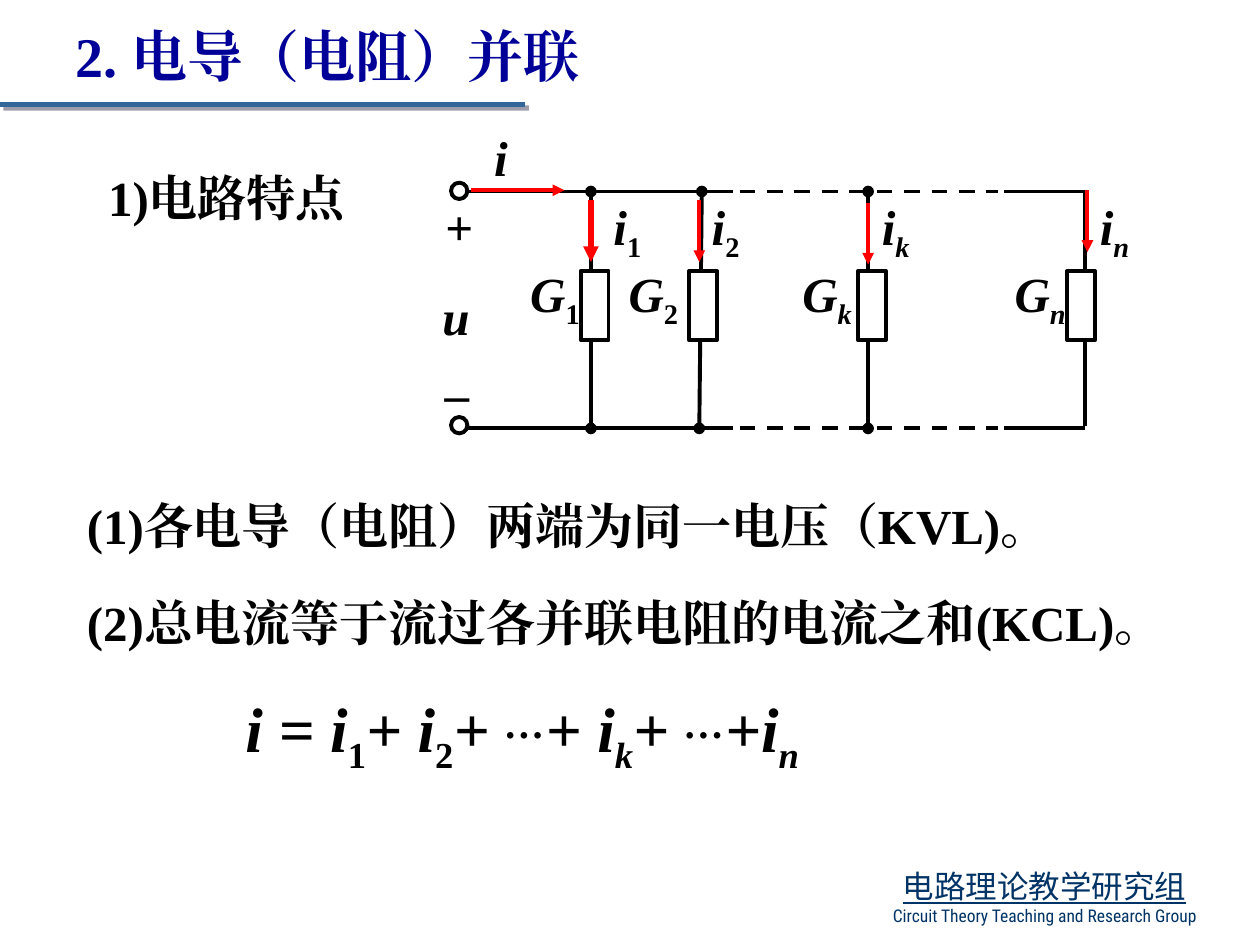
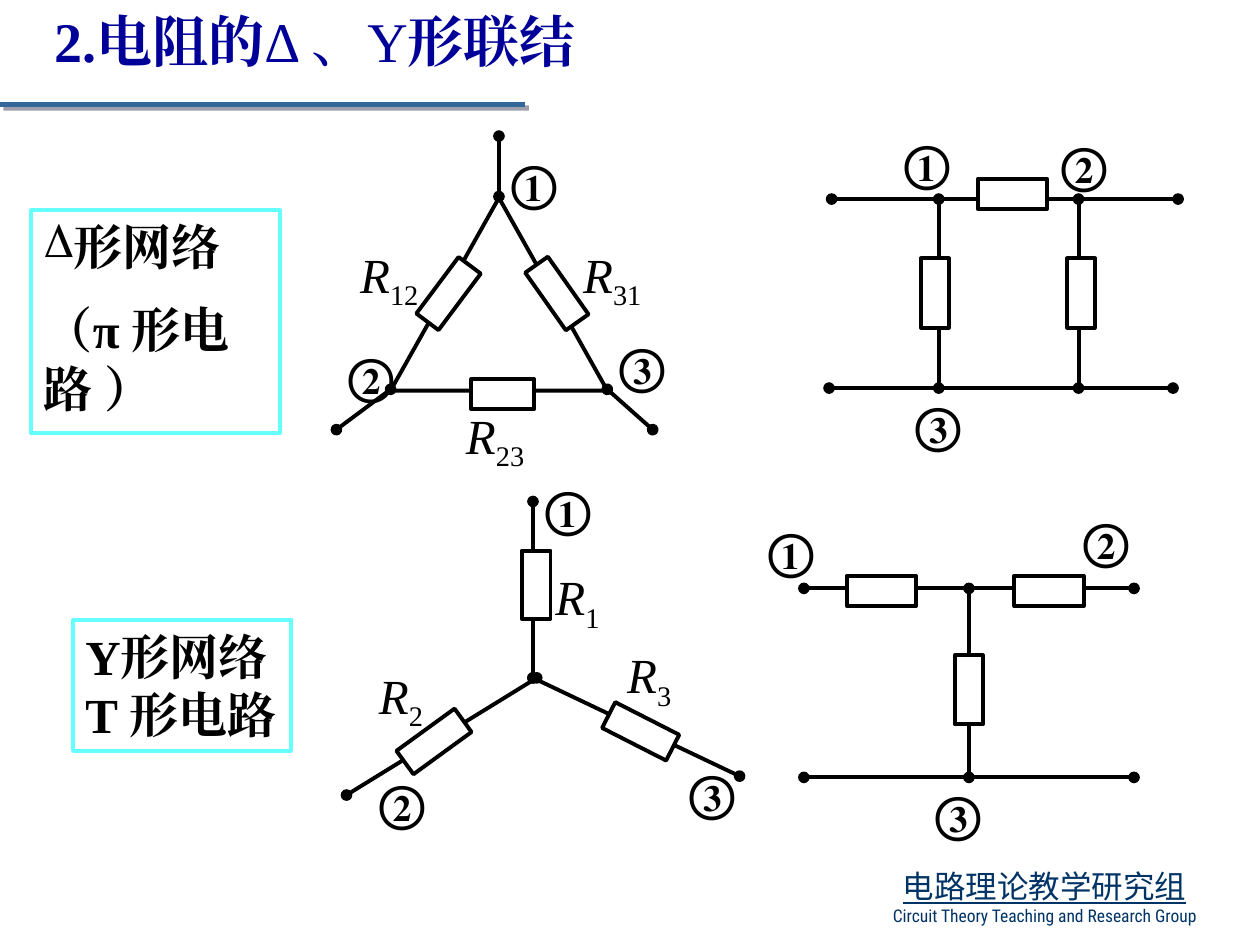
from typing import NamedTuple

from lxml.etree import SubElement
from pptx import Presentation
from pptx.dml.color import RGBColor
from pptx.enum.dml import MSO_LINE
from pptx.enum.shapes import MSO_CONNECTOR, MSO_SHAPE
from pptx.enum.text import MSO_ANCHOR, MSO_AUTO_SIZE, PP_ALIGN
from pptx.oxml.ns import qn
from pptx.util import Emu, Pt

# Shared style: 100 px to the inch
SCALE = 9144
INK, RED, NAVY, CYAN = "000000", "FF0000", "000099", "66FFFF"
BLUE, RULE, SHADE, WHITE = "003366", "336699", "3E3E5C", "FFFFFF"
SERIF, SANS, SLIM = "Times New Roman", "Noto Sans CJK SC", "Roboto Condensed"
THIN, THICK = 2.25, 3


class Wire(NamedTuple):
    x1: int
    y1: int
    x2: int
    y2: int
    head: str = ""
    tail: str = ""
    color: str = INK
    width: float = THIN
    dash: bool = False


class Box(NamedTuple):
    x: int
    y: int
    w: int
    h: int
    turn: float = 0
    fill: str = WHITE
    line: str = INK
    kind: MSO_SHAPE = MSO_SHAPE.RECTANGLE


class Label(NamedTuple):
    x: int
    y: int
    w: int
    text: str
    bold: bool = True
    slant: bool = False
    mid: bool = False
    size: int = 28
    h: int = 57


class Branch(NamedTuple):
    name: str
    top: int
    foot: int
    box: int
    mark: int
    flow: int
    arrow: int
    start: int = 159
    width: float = THIN


def px(n: int) -> Emu:
    return Emu(n * SCALE)


def hue(code: str) -> RGBColor:
    return RGBColor.from_string(code)


# Text
def style(para, size, color=INK, bold=False, name=SERIF) -> None:
    font = para.font
    font.size, font.bold, font.name = Pt(size), bold, name
    font.color.rgb = hue(color)
    base = para._p.pPr.find(qn("a:defRPr"))
    east = SubElement(base, qn("a:ea"))
    east.set("typeface", name)
    base.find(qn("a:latin")).addnext(east)


def write(para, text: str, slant=False) -> None:
    """Pieces split by | : _ lowers, ^ raises and ~ is not bold."""
    for piece in text.split("|"):
        mark = piece[0] if len(piece) > 1 and piece[0] in "_^~" else ""
        run = para.add_run()
        run.text = piece[len(mark):]
        if slant:
            run.font.italic = not (mark == "_" and run.text.isdigit())
        if mark == "~":
            run.font.bold = False
        elif mark:
            shift = "-25000" if mark == "_" else "20000"
            run._r.get_or_add_rPr().set("baseline", shift)
        if mark == "^":
            run.font.size = Pt(40)


def bullet(para, char: str = "") -> None:
    props = para._p.get_or_add_pPr()
    props.set("marL", "0")
    props.set("indent", "0")
    item = SubElement(props, qn("a:buChar" if char else "a:buNone"))
    if char:
        item.set("char", char)
    props.find(qn("a:defRPr")).addprevious(item)


def place(shape, x: int, y: int, w: int, h: int) -> None:
    shape.left, shape.top, shape.width, shape.height = map(px, (x, y, w, h))


def label(slide, spec_: Label) -> None:
    area = map(px, (spec_.x, spec_.y, spec_.w, spec_.h))
    frame = slide.shapes.add_textbox(*area).text_frame
    frame.word_wrap = not spec_.mid
    para = frame.paragraphs[0]
    if spec_.mid:
        frame.vertical_anchor = MSO_ANCHOR.MIDDLE
        para.alignment = PP_ALIGN.CENTER
    style(para, spec_.size, bold=spec_.bold)
    write(para, spec_.text, spec_.slant)


def title(slide, text: str, x: int, y: int, w: int) -> None:
    shape = slide.shapes.title
    place(shape, x, y, w, 63)
    frame = shape.text_frame
    frame.auto_size, frame.vertical_anchor = MSO_AUTO_SIZE.NONE, MSO_ANCHOR.TOP
    para = frame.paragraphs[0]
    para.alignment = PP_ALIGN.LEFT
    style(para, 32, NAVY, True)
    write(para, text)


def fill(frame, lines: list[str], gap: int) -> None:
    for n, text in enumerate(lines):
        para = frame.add_paragraph() if n else frame.paragraphs[0]
        para.alignment = PP_ALIGN.LEFT
        para.space_before = Pt(gap if n else 0)
        style(para, 28, bold=True)
        write(para, text)


# Lines and shapes
def wire(slide, item: Wire):
    ends = map(px, item[:4])
    shape = slide.shapes.add_connector(MSO_CONNECTOR.STRAIGHT, *ends)
    line = shape.line
    line.color.rgb, line.width = hue(item.color), Pt(item.width)
    if item.dash:
        line.dash_style = MSO_LINE.DASH
    props = shape._element.spPr
    for tag, kind in (("a:headEnd", item.head), ("a:tailEnd", item.tail)):
        if kind:
            SubElement(props.find(qn("a:ln")), qn(tag)).set("type", kind)
    return SubElement(props, qn("a:effectLst"))


def link(slide, *ends: int) -> None:
    wire(slide, Wire(*ends, head="oval", tail="oval"))


def block(slide, item: Box):
    shape = slide.shapes.add_shape(item.kind, *map(px, item[:4]))
    shape.shadow.inherit = False
    shape.rotation = item.turn
    if item.fill:
        shape.fill.solid()
        shape.fill.fore_color.rgb = hue(item.fill)
    else:
        shape.fill.background()
    shape.line.color.rgb, shape.line.width = hue(item.line), Pt(THIN)
    return shape


def panel(slide, item: Box, lines: list[str]):
    frame = block(slide, item).text_frame
    frame.word_wrap, frame.vertical_anchor = True, MSO_ANCHOR.TOP
    fill(frame, lines, 14)
    return frame


# Rule under the title and group name at the foot
def base(slide) -> None:
    glow = wire(slide, Wire(0, 83, 417, 83, color=RULE, width=THICK))
    shade = SubElement(glow, qn("a:outerShdw"), dist="35560", dir="2700000")
    tone = SubElement(shade, qn("a:srgbClr"), val=SHADE)
    SubElement(tone, qn("a:alpha"), val="50000")
    frame = slide.shapes.add_textbox(*map(px, (675, 683, 308, 57))).text_frame
    frame.word_wrap = True
    first, second = frame.paragraphs[0], frame.add_paragraph()
    for para, text, size, name in (
        (first, "电路理论教学研究组", 18, SANS),
        (second, "Circuit Theory Teaching and Research Group", 10, SLIM),
    ):
        para.alignment = PP_ALIGN.CENTER
        style(para, size, BLUE, name=name)
        write(para, text)
    first.font.underline = True


# Slide 1: conductances in parallel
BRANCHES = [
    Branch("1", 469, 469, 461, 409, 477, 469, width=THICK),
    Branch("2", 557, 555, 547, 487, 555, 555),
    Branch("k", 689, 689, 681, 625, 690, 689, 161),
    Branch("n", 861, 861, 847, 794, 863, 863, 151),
]


def shunt(deck) -> None:
    slide = deck.slides.add_slide(deck.slide_layouts[1])
    base(slide)
    title(slide, "2. 电导（电阻）并联", 50, 12, 500)
    body = slide.placeholders[1]
    place(body, 59, 388, 914, 135)
    body.text_frame.auto_size = MSO_AUTO_SIZE.NONE
    fill(body.text_frame, ["(1)各电导（电阻）两端为同一电压（KVL)。",
                           "(2)总电流等于流过各并联电阻的电流之和(KCL)。"], 22)
    for para in body.text_frame.paragraphs:
        bullet(para)
    label(slide, Label(76, 128, 243, "1)电路特点"))
    label(slide, Label(185, 537, 543,
                       "i = i|_1|+ i|_2|+ |^…|+ i|_k|+ |^…|+i|_n",
                       slant=True, size=36, h=70))
    # Rails and terminals
    for y in (152, 340):
        wire(slide, Wire(369, y, 582, y))
        wire(slide, Wire(587, y, 792, y, dash=True))
        wire(slide, Wire(797, y, 861, y))
    for y in (145, 331):
        block(slide, Box(358, y, 13, 13, fill="", kind=MSO_SHAPE.OVAL))
    wire(slide, Wire(374, 151, 448, 151, tail="triangle", color=RED))
    for x, y, w, text in ((382, 96, 31, "i"), (343, 151, 43, "+"),
                          (341, 222, 42, "u")):
        label(slide, Label(x, y, w, text, slant=text != "+", mid=True))
    label(slide, Label(343, 270, 40, "_"))
    # Branches
    for arm in BRANCHES:
        if arm.name == "n":
            wire(slide, Wire(arm.foot, 338, arm.top, 152))
        else:
            link(slide, arm.foot, 340, arm.top, 152)
        wire(slide, Wire(arm.arrow, arm.start, arm.arrow, arm.start + 49,
                         tail="triangle", color=RED, width=arm.width))
        block(slide, Box(arm.box, 215, 22, 55))
        label(slide, Label(arm.mark, 207, 63, f"G|_{arm.name}",
                           slant=True, mid=True))
        label(slide, Label(arm.flow, 151, 62, f"i|_{arm.name}", slant=True))


# Slide 2: delta, star, pi and T networks
LINKS = [
    (267, 341, 310, 309), (518, 341, 482, 309), (396, 156, 396, 108),
    (423, 538, 423, 398), (426, 538, 275, 631), (587, 616, 423, 538),
    (660, 158, 935, 158), (658, 308, 931, 308),
    (745, 158, 745, 308), (856, 158, 856, 308),
    (638, 467, 900, 467), (638, 617, 900, 617), (769, 467, 769, 617),
]
PARTS = [
    Box(414, 222, 56, 22, 54.8), Box(328, 222, 56, 22, 306.8),
    Box(374, 301, 50, 24),
    Box(414, 437, 23, 54), Box(316, 577, 57, 23, 324),
    Box(480, 569, 57, 23, 27),
    Box(776, 142, 55, 24), Box(847, 205, 22, 55), Box(731, 205, 22, 55),
    Box(805, 457, 55, 24), Box(672, 457, 55, 24), Box(758, 520, 22, 55),
]
NAMES = [
    (276, 189, "12"), (453, 189, "31"), (360, 317, "23"),
    (431, 445, "1"), (291, 523, "2"), (488, 507, "3"),
]
# Places of nodes 1, 2 and 3 in each network
NODES = [
    [(396, 116), (267, 269), (482, 261)],
    [(423, 375), (291, 608), (537, 600)],
    [(708, 100), (833, 102), (717, 308)],
    [(600, 408), (850, 400), (733, 617)],
]


def delta(deck) -> None:
    slide = deck.slides.add_slide(deck.slide_layouts[5])
    base(slide)
    title(slide, "2.电阻的|~Δ 、Y|形联结", 33, 0, 632)
    panel(slide, Box(58, 492, 173, 104, fill="", line=CYAN),
          ["Y形网络T 形电路"])
    frame = panel(slide, Box(25, 167, 197, 177, fill="", line=CYAN),
                  ["形网络", "（π 形电路 ）"])
    bullet(frame.paragraphs[0], "Δ")
    block(slide, Box(310, 157, 172, 153, fill="",
                     kind=MSO_SHAPE.ISOSCELES_TRIANGLE))
    for ends in LINKS:
        link(slide, *ends)
    for part in PARTS:
        block(slide, part)
    for x, y, name in NAMES:
        label(slide, Label(x, y, 84, f"R|_{name}", bold=False, slant=True))
    for group in NODES:
        for (x, y), sign in zip(group, "①②③"):
            label(slide, Label(x, y, 59, sign))


def main() -> None:
    deck = Presentation()
    deck.slide_width, deck.slide_height = px(1000), px(750)
    shunt(deck)
    delta(deck)
    deck.save("out.pptx")


if __name__ == "__main__":
    main()
